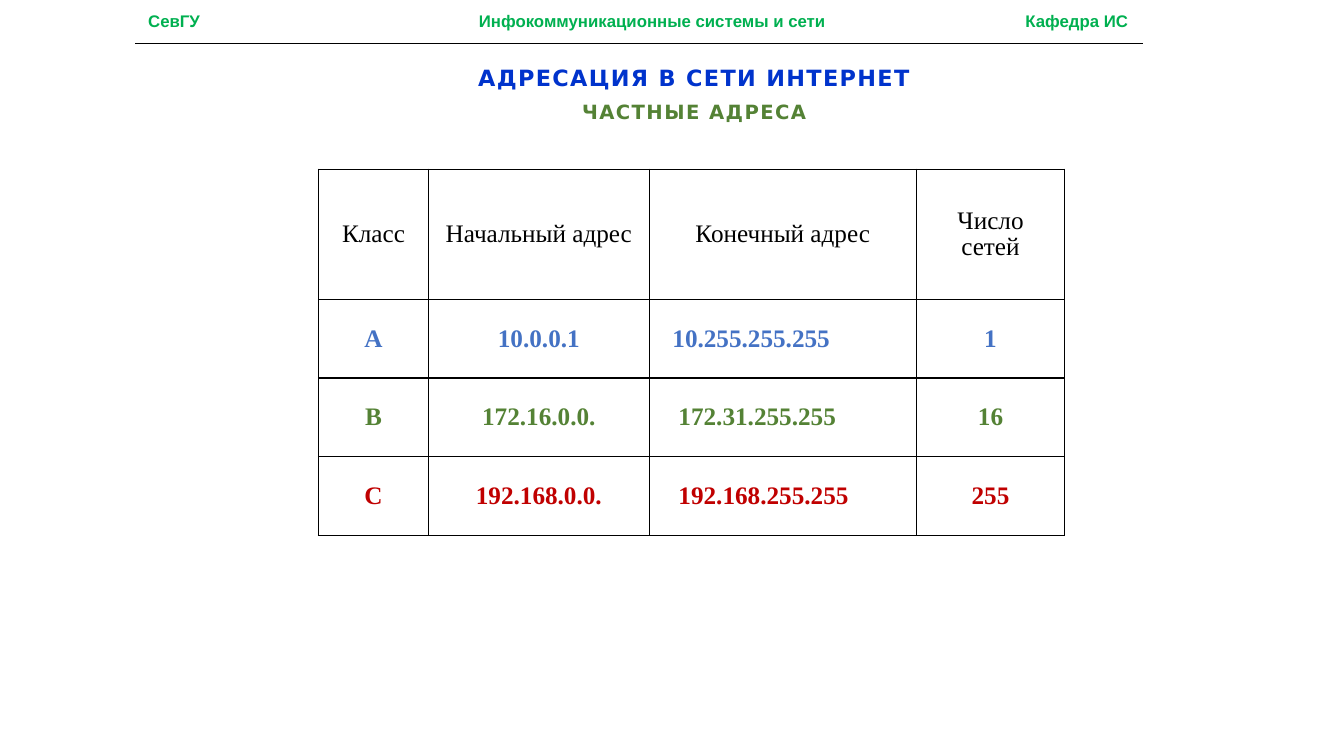
from lxml import etree
from pptx import Presentation
from pptx.dml.color import RGBColor
from pptx.enum.shapes import MSO_CONNECTOR
from pptx.enum.text import MSO_ANCHOR, PP_ALIGN
from pptx.oxml.ns import qn
from pptx.util import Inches, Pt

LEFT, CENTER = PP_ALIGN.LEFT, PP_ALIGN.CENTER
MIDDLE = MSO_ANCHOR.MIDDLE
STRAIGHT = MSO_CONNECTOR.STRAIGHT
COLORS = {"header": "00B050", "title": "0033CC", "black": "000000",
          "A": "4472C4", "B": "548235", "C": "C00000"}


def add_run(p, text, font, size, color, bold=True):
    r = p.add_run()
    r.text = text
    r.font.name = font
    r.font.size = Pt(size)
    r.font.bold = bold
    r.font.color.rgb = RGBColor.from_string(COLORS[color])
    return r


def add_borders(cell):
    tcPr = cell._tc.get_or_add_tcPr()
    for i, side in enumerate(("lnL", "lnR", "lnT", "lnB")):
        ln = etree.Element(qn(f"a:{side}"), w=str(Pt(1)))
        fill = etree.SubElement(ln, qn("a:solidFill"))
        etree.SubElement(fill, qn("a:srgbClr"), val=COLORS["black"])
        tcPr.insert(i, ln)


prs = Presentation()
prs.slide_width, prs.slide_height = Inches(13.33), Inches(7.5)
s = prs.slides.add_slide(prs.slide_layouts[6])

# Header: left, centre and right parts on tab stops
tf = s.shapes.add_textbox(Inches(1.34), Inches(0.06), Inches(10), Inches(0.3)).text_frame
tf.word_wrap = True
tf.margin_left = Inches(0.13)
p = tf.paragraphs[0]
p.alignment = LEFT
tabs = etree.SubElement(p._p.get_or_add_pPr(), qn("a:tabLst"))
for pos, align in ((5, "ctr"), (9.72, "r")):
    etree.SubElement(tabs, qn("a:tab"), pos=str(Inches(pos)), algn=align)
add_run(p, "СевГУ\tИнфокоммуникационные системы и сети\tКафедра ИС",
        "Arial", 12, "header")

# Header rule
rule = s.shapes.add_connector(STRAIGHT, Inches(1.34), Inches(0.43),
                              Inches(11.34), Inches(0.43))
rule.line.color.rgb = RGBColor.from_string(COLORS["black"])
rule.line.width = Pt(0.75)
etree.SubElement(rule._element.spPr, qn("a:effectLst"))

# Title and subtitle
tf = s.shapes.add_textbox(Inches(1.34), Inches(0.59), Inches(11.09), Inches(0.69)).text_frame
tf.word_wrap = True
titles = [("АДРЕСАЦИЯ В СЕТИ ИНТЕРНЕТ", 16, "title"), ("ЧАСТНЫЕ АДРЕСА", 14, "B")]
for i, (text, size, color) in enumerate(titles):
    p = tf.add_paragraph() if i else tf.paragraphs[0]
    p.alignment = CENTER
    p.space_after = Pt(6)
    r = add_run(p, text, "DejaVu Sans", size, color)
    r.font._element.set("spc", "100")

# Table of private addresses
rows = [
    ("Класс", "Начальный адрес", "Конечный адрес", "Число сетей"),
    ("A", "10.0.0.1", "10.255.255.255", "1"),
    ("B", "172.16.0.0.", "172.31.255.255", "16"),
    ("C", "192.168.0.0.", "192.168.255.255", "255"),
]
widths = [1.09, 2.19, 2.65, 1.47]
heights = [1.29, 0.78, 0.78, 0.78]
end_insets = {"A": 0.23, "B": 0.29, "C": 0.29}
table = s.shapes.add_table(len(rows), len(widths), Inches(3.16), Inches(1.68),
                           Inches(sum(widths)), Inches(sum(heights))).table
table.first_row = table.horz_banding = False
for col, width in zip(table.columns, widths):
    col.width = Inches(width)
for i, row in enumerate(rows):
    table.rows[i].height = Inches(heights[i])
    for j, text in enumerate(row):
        cell = table.cell(i, j)
        cell.fill.background()
        add_borders(cell)
        cell.vertical_anchor = MIDDLE
        p = cell.text_frame.paragraphs[0]
        p.alignment = CENTER
        if i == 0:
            p.line_spacing = 0.93
        elif j == 2:
            p.alignment = LEFT
            cell.margin_left = Inches(end_insets[row[0]])
        add_run(p, text, "Times New Roman", 18, row[0] if i else "black", i > 0)

prs.save("out.pptx")
